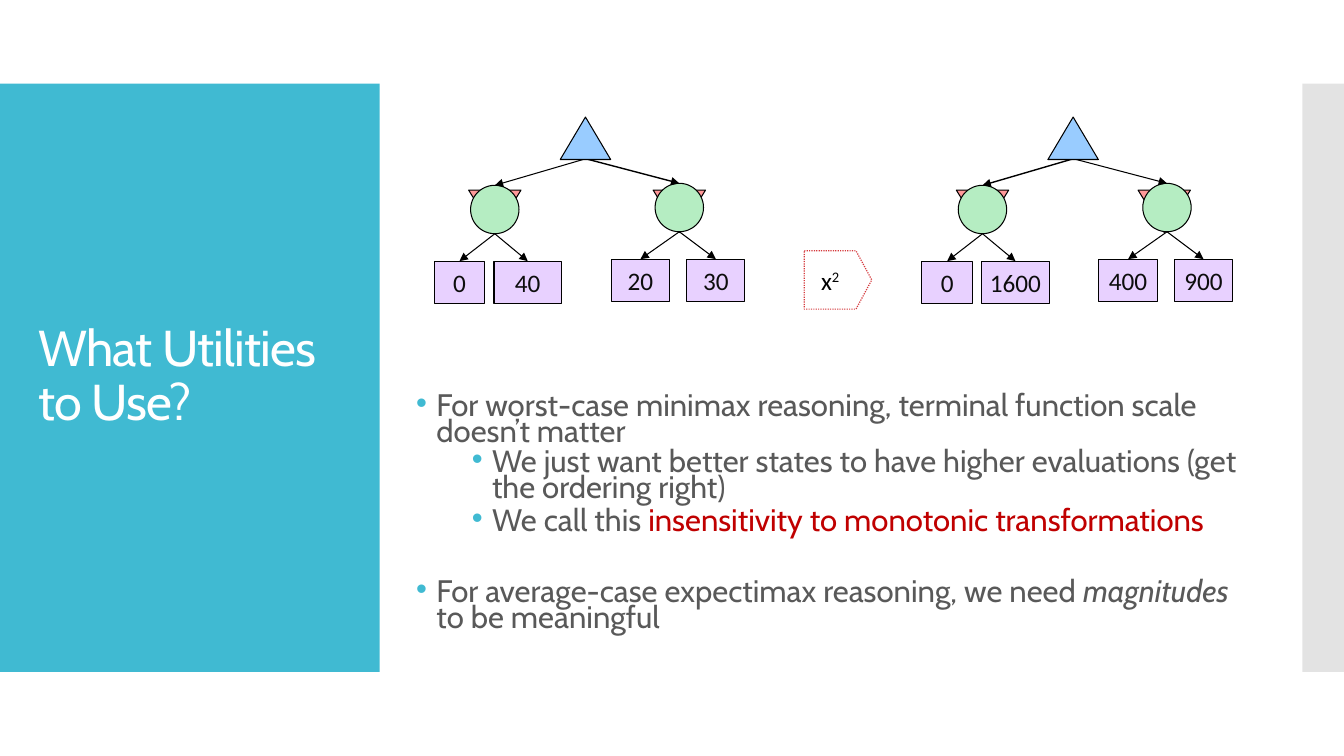
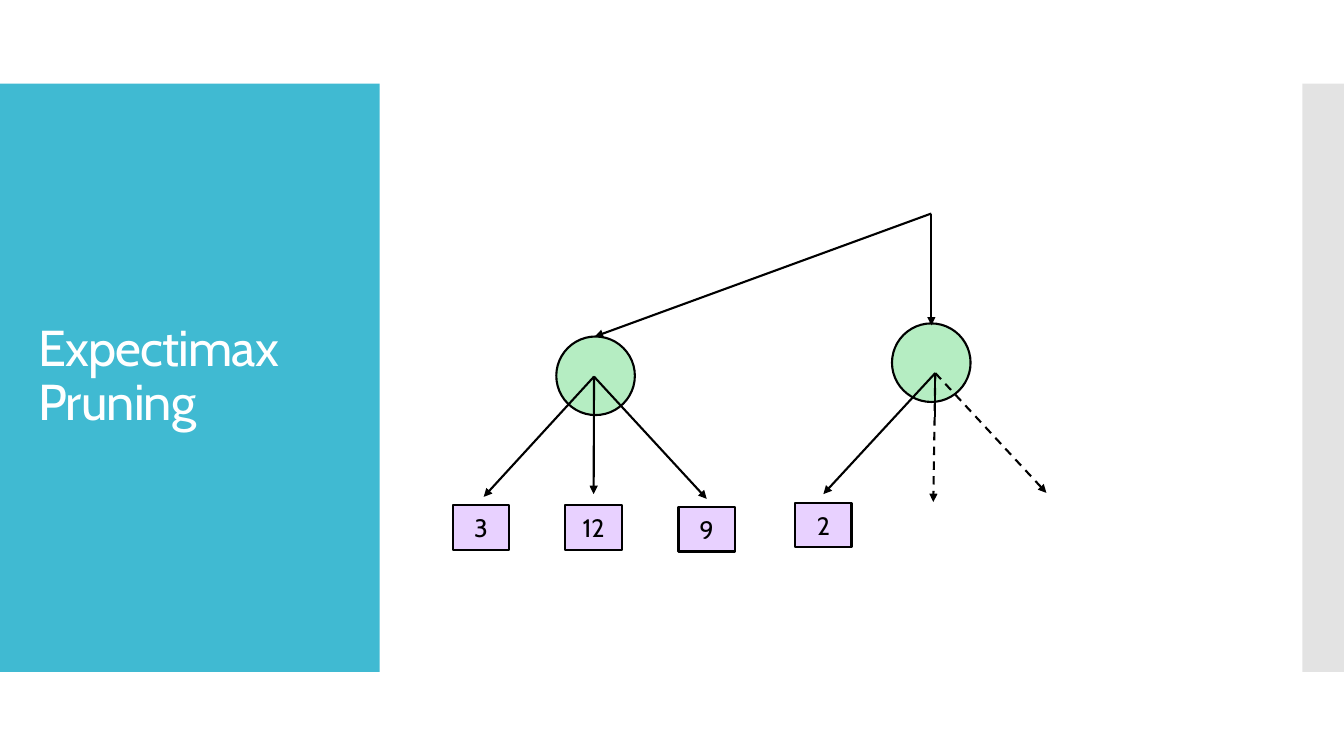
from dataclasses import dataclass
from typing import NamedTuple

from lxml.etree import SubElement
from pptx import Presentation
from pptx.dml.color import RGBColor as Rgb
from pptx.enum.dml import MSO_LINE_DASH_STYLE as Dash
from pptx.enum.shapes import MSO_CONNECTOR as Connector, MSO_SHAPE as Preset
from pptx.enum.text import MSO_ANCHOR as Anchor, MSO_AUTO_SIZE as AutoSize, PP_ALIGN as Align
from pptx.oxml.ns import qn
from pptx.util import Cm, Pt


# Theme
@dataclass(frozen=True)
class Theme:
    teal: Rgb = Rgb.from_string("40BAD2")
    band_gray: Rgb = Rgb.from_string("C8C8C8")
    white: Rgb = Rgb.from_string("FFFFFF")
    black: Rgb = Rgb.from_string("000000")
    ink: Rgb = Rgb.from_string("0D0D0D")
    body: Rgb = Rgb.from_string("595959")
    accent: Rgb = Rgb.from_string("C00000")
    arrow_red: Rgb = Rgb.from_string("D5393D")
    max_blue: Rgb = Rgb.from_string("99CCFF")
    min_red: Rgb = Rgb.from_string("FF9999")
    chance_green: Rgb = Rgb.from_string("B5EDC2")
    leaf_violet: Rgb = Rgb.from_string("E8D1FF")
    font: str = "Cabin"
    figure_font: str = "Calibri"
    title_size: float = 36
    body_size: float = 22.2
    label_size: float = 18
    thin: float = 0.75
    thick: float = 1.5


THEME = Theme()


# Content types; lengths are in centimetres
class Point(NamedTuple):
    x: float
    y: float


class Leaf(NamedTuple):
    label: str
    offset: float
    width: float


@dataclass(frozen=True)
class Branch:
    offset: float
    top: float
    leaves: tuple[Leaf, Leaf]
    edge: float = THEME.thin
    hat_shift: float = 0


@dataclass(frozen=True)
class Arrow:
    start: Point
    end: Point
    dashed: bool = False
    head: bool = True


class Piece(NamedTuple):
    text: str
    color: Rgb = THEME.body
    italic: bool = False


@dataclass(frozen=True)
class Bullet:
    pieces: tuple[Piece, ...]
    indent: float = 0.51
    before: float = 12
    after: float = 0


# Drawing helpers
def write(para, text: str, *, size: float, color: Rgb, font: str = THEME.font,
          italic: bool = False, raised: bool = False, tracking: float = 0) -> None:
    span = para.add_run()
    span.text = text
    span.font.size = Pt(size)
    span.font.name = font
    span.font.color.rgb = color
    span.font.italic = italic
    props = span._r.get_or_add_rPr()
    if raised:
        props.set("baseline", "30000")
    if tracking:
        props.set("spc", str(round(tracking * 100)))


def add_box(page, preset: Preset, left: float, top: float, width: float, height: float,
            fill: Rgb, line: Rgb | None = None, weight: float = THEME.thin):
    box = page.shapes.add_shape(preset, Cm(left), Cm(top), Cm(width), Cm(height))
    box.shadow.inherit = False
    box.fill.solid()
    box.fill.fore_color.rgb = fill
    if line is None:
        box.line.fill.background()
    else:
        box.line.color.rgb = line
        box.line.width = Pt(weight)
    return box


def centred_para(box, wrap: bool):
    frame = box.text_frame
    frame.word_wrap = wrap
    frame.vertical_anchor = Anchor.MIDDLE
    frame.margin_left = frame.margin_right = frame.margin_top = frame.margin_bottom = 0
    para = frame.paragraphs[0]
    para.alignment = Align.CENTER
    return para


def add_leaf(page, label: str, center: float, top: float, width: float, height: float,
             weight: float, color: Rgb, font: str) -> None:
    box = add_box(page, Preset.RECTANGLE, center - width / 2, top, width, height,
                  THEME.leaf_violet, THEME.black, weight)
    write(centred_para(box, wrap=False), label, size=THEME.label_size, color=color, font=font)


def add_circle(page, center: float, top: float, size: float, weight: float) -> None:
    add_box(page, Preset.OVAL, center - size / 2, top, size, size,
            THEME.chance_green, THEME.black, weight)


def add_arrow(page, arrow: Arrow, weight: float) -> None:
    start, end = arrow.start, arrow.end
    edge = page.shapes.add_connector(Connector.STRAIGHT, Cm(start.x), Cm(start.y),
                                     Cm(end.x), Cm(end.y))
    edge.line.color.rgb = THEME.black
    edge.line.width = Pt(weight)
    if arrow.dashed:
        edge.line.dash_style = Dash.DASH
    props = edge.element.spPr
    if arrow.head:
        SubElement(props.find(qn("a:ln")), qn("a:tailEnd"), type="triangle")
    SubElement(props, qn("a:effectLst"))


# Shared frame
def add_bands(page) -> None:
    """Draw the side bands and move them to the layout, behind its placeholders."""
    teal = add_box(page, Preset.RECTANGLE, 0, 2.11, 9.57, 14.82, THEME.teal)
    gray = add_box(page, Preset.RECTANGLE, 32.82, 2.11, 1.05, 14.82, THEME.band_gray)
    color = gray.element.spPr.find(qn("a:solidFill"))[0]
    SubElement(color, qn("a:alpha"), val="50000")
    for band in (gray, teal):
        page.slide_layout.shapes.element.insert(2, band.element)


def add_page(deck, title: str):
    page = deck.slides.add_slide(deck.slide_layouts[5])
    box = page.shapes.title
    box.left, box.top, box.width, box.height = Cm(0.71), Cm(3.12), Cm(8.18), Cm(12.78)
    frame = box.text_frame
    frame.word_wrap = True
    frame.auto_size = AutoSize.NONE
    frame.vertical_anchor = Anchor.MIDDLE
    para = frame.paragraphs[0]
    para.alignment = Align.LEFT
    para.line_spacing = 0.9
    write(para, title, size=THEME.title_size, color=THEME.white, tracking=-0.6)
    return page


# Utilities slide
ROOT_TOP, ROOT_BASE = 2.95, 4.0
NODE_SIZE, HAT_TOP, ROW_HEIGHT = 1.22, 4.79, 1.07
LEAF_DROP = 1.91

FIRST_TREE = (
    Branch(-2.29, 4.67, (Leaf("0", -0.89, 1.27), Leaf("40", 0.83, 1.7))),
    Branch(2.36, 4.62, (Leaf("20", -0.98, 1.47), Leaf("30", 0.92, 1.47)), edge=1),
)
SQUARED_TREE = (
    Branch(-2.29, 4.67, (Leaf("0", -0.89, 1.27), Leaf("1600", 0.83, 1.7)), edge=1),
    Branch(2.36, 4.62, (Leaf("400", -0.98, 1.47), Leaf("900", 0.92, 1.47)), hat_shift=-0.07),
)

BULLETS = (
    Bullet((Piece("For worst-case minimax reasoning, terminal function scale doesn’t matter"),)),
    Bullet((Piece("We just want better states to have higher evaluations "
                  "(get the ordering right)"),), 1.91, 2.5, 2.5),
    Bullet((Piece("We call this "),
            Piece("insensitivity to monotonic transformations", THEME.accent)), 1.91, 2.5, 2.5),
    Bullet((Piece("For average-case expectimax reasoning, we need "),
            Piece("magnitudes", italic=True), Piece(" to be meaningful")), before=29.5),
)


def add_tree(page, root: float, branches: tuple[Branch, ...]) -> None:
    for branch in branches:
        node = root + branch.offset
        hat = add_box(page, Preset.ISOSCELES_TRIANGLE, node + branch.hat_shift - 0.66, HAT_TOP,
                      1.32, ROW_HEIGHT, THEME.min_red, THEME.black)
        hat.rotation = 180
        add_circle(page, node, branch.top, NODE_SIZE, THEME.thin)
        add_arrow(page, Arrow(Point(root, ROOT_BASE), Point(node, branch.top)), branch.edge)
        leaf_top = branch.top + LEAF_DROP
        for leaf in branch.leaves:
            center = node + leaf.offset
            add_leaf(page, leaf.label, center, leaf_top, leaf.width, ROW_HEIGHT,
                     THEME.thin, THEME.ink, THEME.figure_font)
            add_arrow(page, Arrow(Point(node, branch.top + NODE_SIZE), Point(center, leaf_top)),
                      THEME.thin)
    add_box(page, Preset.ISOSCELES_TRIANGLE, root - 0.64, ROOT_TOP, 1.27, ROW_HEIGHT,
            THEME.max_blue, THEME.black)


def add_square_arrow(page) -> None:
    box = add_box(page, Preset.RIGHT_ARROW, 20.27, 6.32, 1.7, 1.47,
                  THEME.white, THEME.arrow_red, 0.85)
    box.adjustments[0], box.adjustments[1] = 1, 0.27
    box.line.dash_style = Dash.ROUND_DOT
    para = centred_para(box, wrap=True)
    for text, raised in (("x", False), ("2", True)):
        write(para, text, size=THEME.label_size, color=THEME.black,
              font=THEME.figure_font, raised=raised)


def add_bullets(page, bullets: tuple[Bullet, ...]) -> None:
    frame = page.shapes.add_textbox(Cm(10.24), Cm(9.7), Cm(21.77), Cm(6.55)).text_frame
    frame.word_wrap = True
    frame.vertical_anchor = Anchor.MIDDLE
    for index, bullet in enumerate(bullets):
        para = frame.add_paragraph() if index else frame.paragraphs[0]
        para.line_spacing = 0.7
        para.space_before, para.space_after = Pt(bullet.before), Pt(bullet.after)
        props = para._p.get_or_add_pPr()
        props.set("marL", str(Cm(bullet.indent)))
        props.set("indent", str(Cm(-0.51)))
        SubElement(SubElement(props, qn("a:buClr")), qn("a:srgbClr"), val=str(THEME.teal))
        SubElement(props, qn("a:buFont"), typeface="Arial")
        SubElement(props, qn("a:buChar"), char="•")
        for piece in bullet.pieces:
            write(para, piece.text, size=THEME.body_size, color=piece.color, italic=piece.italic)


def build_utilities(deck) -> None:
    page = add_page(deck, "What Utilities to Use?")
    add_bands(page)
    add_bullets(page, BULLETS)
    add_tree(page, 14.76, FIRST_TREE)
    add_square_arrow(page)
    add_tree(page, 27.05, SQUARED_TREE)


# Pruning slide
ROOT = Point(23.47, 5.38)
CHANCE_TOPS = (Point(15.01, 8.48), Point(23.47, 8.15))
LEFT_HUB, RIGHT_HUB = Point(14.97, 9.49), Point(23.57, 9.4)
ARROWS = (
    Arrow(ROOT, Point(14.99, 8.48)),
    Arrow(ROOT, Point(23.47, 8.2)),
    Arrow(LEFT_HUB, Point(12.19, 12.52)),
    Arrow(LEFT_HUB, Point(14.96, 12.45)),
    Arrow(LEFT_HUB, Point(17.81, 12.57)),
    Arrow(RIGHT_HUB, Point(20.75, 12.45)),
    Arrow(RIGHT_HUB, Point(23.57, 10.52), head=False),
    Arrow(RIGHT_HUB, Point(23.52, 12.65), dashed=True),
    Arrow(RIGHT_HUB, Point(26.37, 12.42), dashed=True),
)
LEAF_TOPS = {
    "3": Point(12.12, 12.73),
    "12": Point(14.96, 12.73),
    "9": Point(17.81, 12.78),
    "2": Point(20.75, 12.67),
}


def build_pruning(deck) -> None:
    page = add_page(deck, "Expectimax Pruning")
    for top in CHANCE_TOPS:
        add_circle(page, top.x, top.y, 1.98, THEME.thick)
    for arrow in ARROWS:
        add_arrow(page, arrow, THEME.thick)
    for label, top in LEAF_TOPS.items():
        add_leaf(page, label, top.x, top.y, 1.42, 1.12, THEME.thick, THEME.black, THEME.font)


def main() -> None:
    deck = Presentation()
    deck.slide_width, deck.slide_height = Cm(33.87), Cm(19.05)
    build_utilities(deck)
    build_pruning(deck)
    deck.save("out.pptx")


if __name__ == "__main__":
    main()
